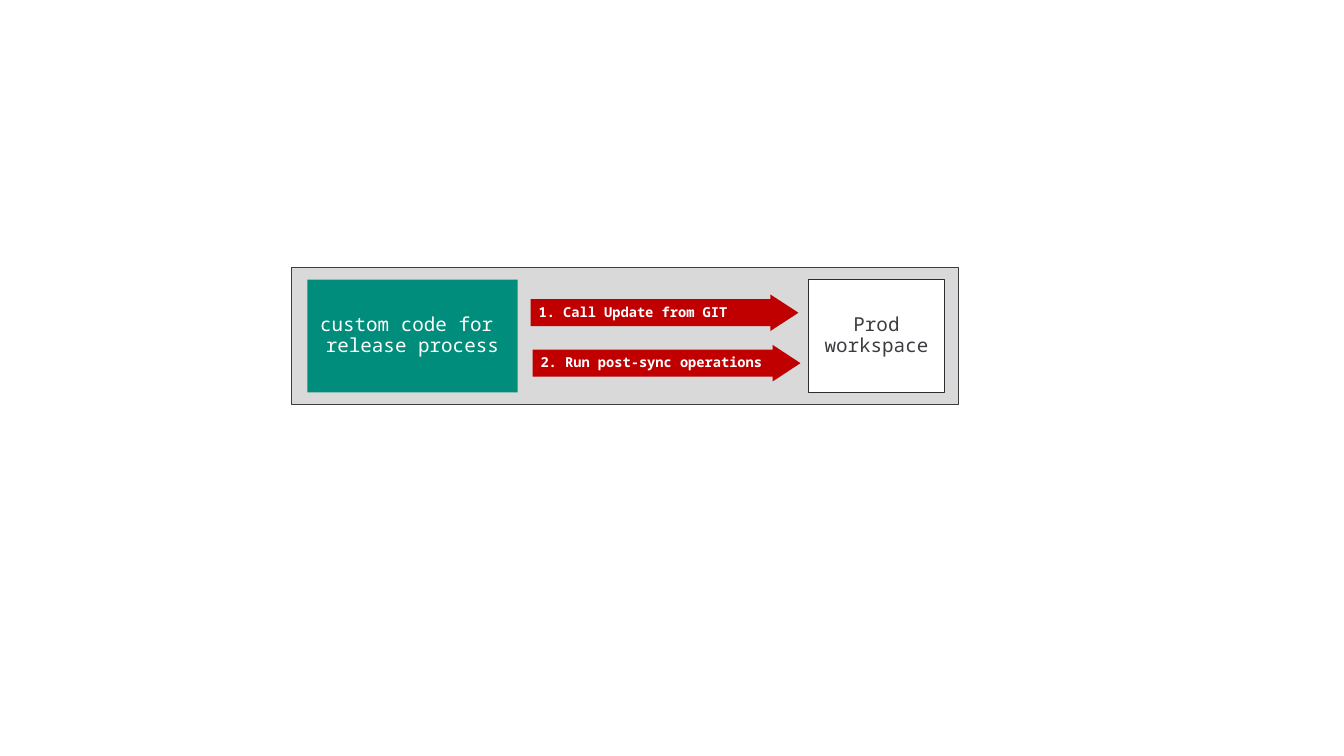
from dataclasses import dataclass
from typing import Optional

from pptx import Presentation
from pptx import util as u
from pptx.dml.color import RGBColor
from pptx.enum import shapes, text
from pptx.shapes.autoshape import Shape
from pptx.slide import Slide

PX = u.Inches(1) // 100


@dataclass(frozen=True)
class Theme:
    font: str = "Noto Sans Mono"
    panel: str = "D9D9D9"
    code: str = "008D7B"
    arrow: str = "C00000"
    white: str = "FFFFFF"
    ink: str = "3C3C41"
    border: str = "2D2D31"
    box_size: int = 14
    step_size: int = 10
    line_width: float = 0.75
    line_spacing: float = 0.9


THEME = Theme()


@dataclass(frozen=True)
class Box:
    left: int
    top: int
    width: int
    height: int
    fill: str
    line: Optional[str] = None
    lines: tuple[str, ...] = ()
    color: str = THEME.ink


@dataclass(frozen=True)
class Step:
    left: int
    top: int
    label: str
    head: float


BOXES = (
    Box(295, 271, 675, 138, THEME.panel, THEME.ink),
    Box(311, 283, 213, 114, THEME.code,
        lines=("custom code for ", "release process"), color=THEME.white),
    Box(818, 283, 138, 114, THEME.white, THEME.border, ("Prod", "workspace")),
)
STEPS = (
    Step(537, 298, "1. Call Update from GIT", 0.77),
    Step(539, 349, "2. Run post-sync operations", 0.76),
)
STEP_WIDTH, STEP_HEIGHT, STEP_INSET = 271, 37, 8
STEP_SHAFT = 0.74


def add_filled_shape(slide: Slide, kind: shapes.MSO_SHAPE, left: int, top: int,
                     width: int, height: int, fill: str,
                     line: Optional[str] = None) -> Shape:
    shape = slide.shapes.add_shape(kind, left * PX, top * PX, width * PX, height * PX)
    shape.shadow.inherit = False
    shape.fill.solid()
    shape.fill.fore_color.rgb = RGBColor.from_string(fill)
    if line is None:
        shape.line.fill.background()
    else:
        shape.line.color.rgb = RGBColor.from_string(line)
        shape.line.width = u.Pt(THEME.line_width)
    return shape


def write_text(shape: Shape, lines: tuple[str, ...], *, size: int, color: str,
               bold: bool = False, inset: int = 0,
               align: text.PP_ALIGN = text.PP_ALIGN.CENTER) -> None:
    frame = shape.text_frame
    frame.word_wrap = True
    frame.vertical_anchor = text.MSO_ANCHOR.MIDDLE
    frame.margin_left = inset * PX
    frame.margin_top = frame.margin_right = frame.margin_bottom = 0
    frame.text = "\n".join(lines)
    for paragraph in frame.paragraphs:
        paragraph.alignment = align
        paragraph.line_spacing = THEME.line_spacing
        for run in paragraph.runs:
            run.font.name = THEME.font
            run.font.size = u.Pt(size)
            run.font.bold = bold
            run.font.color.rgb = RGBColor.from_string(color)


def draw_box(slide: Slide, box: Box) -> None:
    shape = add_filled_shape(slide, shapes.MSO_SHAPE.RECTANGLE, box.left, box.top,
                             box.width, box.height, box.fill, box.line)
    if box.lines:
        write_text(shape, box.lines, size=THEME.box_size, color=box.color)


def draw_step(slide: Slide, step: Step) -> None:
    shape = add_filled_shape(slide, shapes.MSO_SHAPE.RIGHT_ARROW, step.left, step.top,
                             STEP_WIDTH, STEP_HEIGHT, THEME.arrow)
    shape.adjustments[0] = STEP_SHAFT
    shape.adjustments[1] = step.head
    write_text(shape, (step.label,), size=THEME.step_size, color=THEME.white,
               bold=True, inset=STEP_INSET, align=text.PP_ALIGN.LEFT)


def main() -> None:
    presentation = Presentation()
    presentation.slide_width = 1360 * PX
    presentation.slide_height = 765 * PX
    slide = presentation.slides.add_slide(presentation.slide_layouts[6])
    for box in BOXES:
        draw_box(slide, box)
    for step in STEPS:
        draw_step(slide, step)
    presentation.save("out.pptx")


if __name__ == "__main__":
    main()
